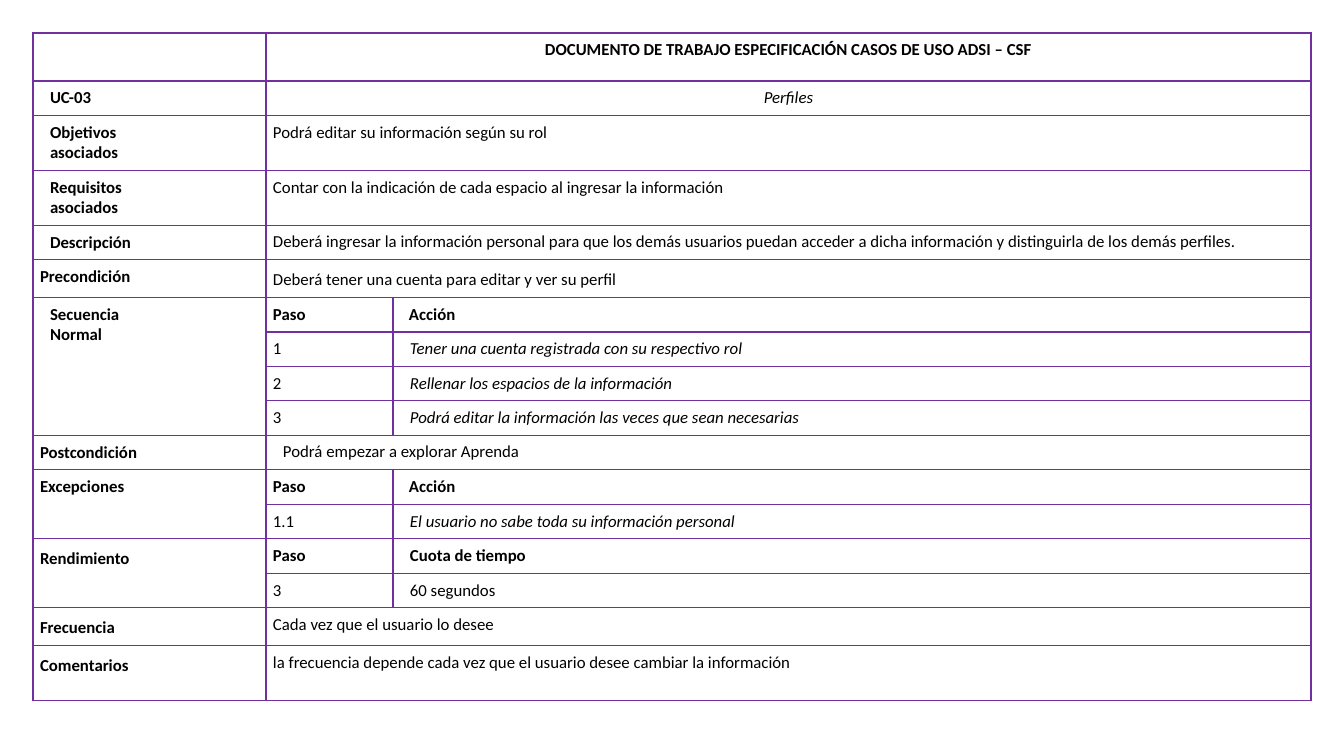
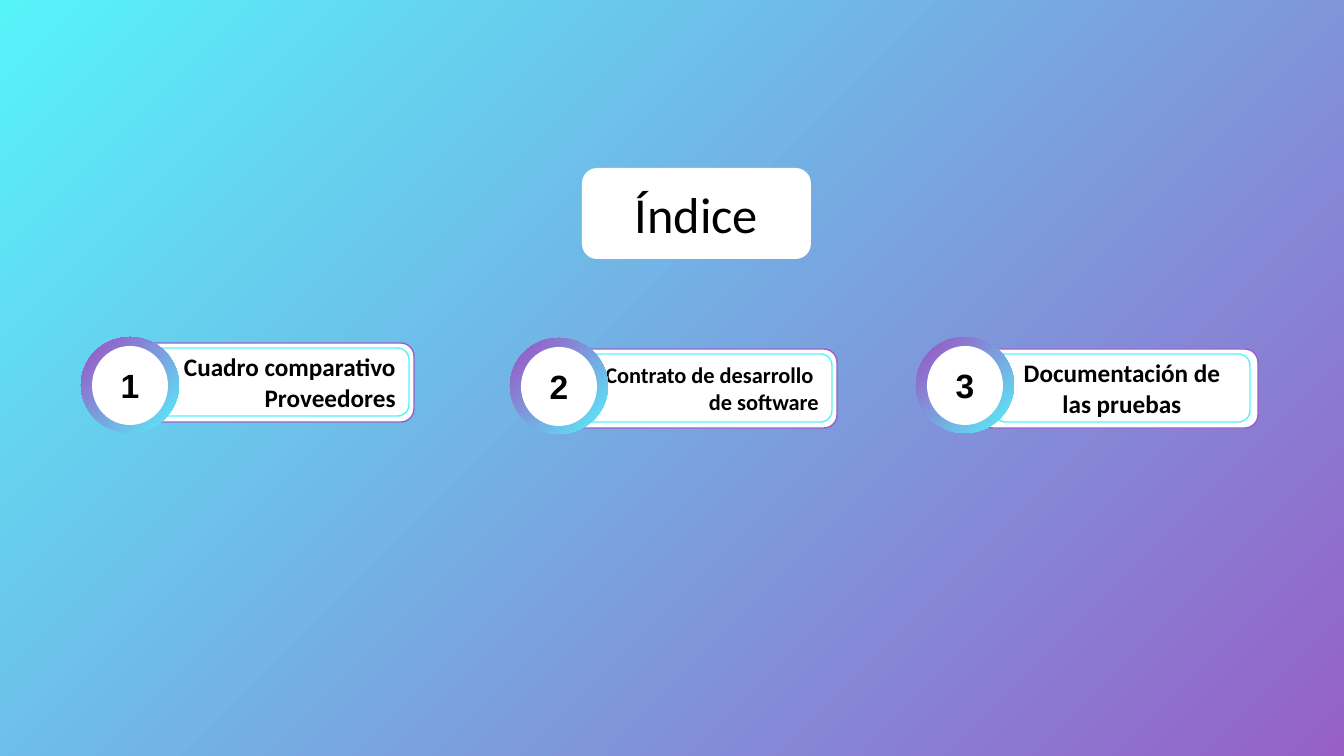
from dataclasses import dataclass
from lxml import etree
from pptx import Presentation
from pptx.dml.color import RGBColor
from pptx.enum.shapes import MSO_SHAPE
from pptx.enum.text import MSO_ANCHOR, PP_ALIGN
from pptx.oxml.ns import qn
from pptx.util import Emu, Pt

SLIDE_W, SLIDE_H = 1344, 756
EMU_PER_PX = 12192000 / SLIDE_W


@dataclass(frozen=True)
class Theme:
    ink: str = "000000"
    white: str = "FFFFFF"
    grid: str = "7030A0"
    violet: str = "9660C8"
    cyan: str = "57F3FB"
    body: str = "Calibri"
    digits: str = "Arial"
    cell_pt: int = 12
    item_pt: int = 18
    small_item_pt: int = 16
    number_pt: int = 24
    title_pt: int = 36
    line_pt: int = 1


THEME = Theme()


@dataclass(frozen=True)
class Text:
    text: str
    bold: bool = False
    italic: bool = False
    indent: int = 0
    spacing: float = 1.0
    align: PP_ALIGN = PP_ALIGN.LEFT


def label(text, indent=0, **kw):
    return Text(text, bold=True, indent=indent, **kw)


def step(number, action, **kw):
    return [Text(number), Text(action, indent=10, **kw)]


def heading(name, indent=9):
    return [label("Paso"), label(name, indent)]


# Each section: label, rows of one wide cell or of step and action, row height
SECTIONS = [
    (None, [[label("DOCUMENTO DE TRABAJO ESPECIFICACIÓN CASOS DE USO ADSI – CSF",
                   align=PP_ALIGN.CENTER)]], 48),
    (label("UC-03", 10), [[Text("Perfiles", italic=True, align=PP_ALIGN.CENTER)]], 34),
    (label("Objetivos\nasociados", 10), [[Text("Podrá editar su información según su rol")]], 55),
    (label("Requisitos\nasociados", 10),
     [[Text("Contar con la indicación de cada espacio al ingresar la información")]], 55),
    (label("Descripción", 10),
     [[Text("Deberá ingresar la información personal para que los demás usuarios puedan "
            "acceder a dicha información y distinguirla de los demás perfiles.",
            spacing=0.95)]], 34),
    (label("Precondición"),
     [[Text("Deberá tener una cuenta para editar y ver su perfil", spacing=1.15)]], 37),
    (label("Secuencia\nNormal", 10),
     [heading("Acción"),
      step("1", "Tener una cuenta registrada con su respectivo rol", italic=True),
      step("2", "Rellenar los espacios de la información", italic=True),
      step("3", "Podrá editar la información las veces que sean necesarias", italic=True)], 34),
    (label("Postcondición"),
     [[Text("Podrá empezar a explorar Aprenda", indent=10, spacing=0.95)]], 34),
    (label("Excepciones"),
     [heading("Acción"),
      step("1.1", "El usuario no sabe toda su información personal", italic=True)], 34),
    (label("Rendimiento", spacing=1.15),
     [heading("Cuota de tiempo", 10), step("3", "60 segundos")], 34),
    (label("Frecuencia", spacing=1.15), [[Text("Cada vez que el usuario lo desee")]], 37),
    (label("Comentarios", spacing=1.15),
     [[Text("la frecuencia depende cada vez que el usuario desee cambiar la información")]], 55),
]

# Card is offset from the ring (dx, dy, width); panel likewise (dx, width)
INDEX_ITEMS = [
    dict(x=81, y=337, number="1", text="Cuadro comparativo\nProveedores",
         card=(42, 6, 291), panel=(64, 264), align=PP_ALIGN.RIGHT, size=THEME.item_pt),
    dict(x=510, y=338, number="2", text="Contrato de desarrollo \vde software",
         card=(44, 11, 283), panel=(52, 270), align=PP_ALIGN.RIGHT, size=THEME.small_item_pt),
    dict(x=916, y=337, number="3", text="Documentación de las pruebas",
         card=(64, 12, 278), panel=(78, 256), align=PP_ALIGN.CENTER, size=THEME.item_pt),
]


def px(n):
    return Emu(round(n * EMU_PER_PX))


def rgb(value):
    return RGBColor.from_string(value)


def write(tf, text, align, indent=0, spacing=None, **font):
    tf.word_wrap = True
    tf.text = text
    for p in tf.paragraphs:
        p.alignment = align
        if spacing:
            p.line_spacing = spacing
        if indent:
            p._p.get_or_add_pPr().set("marL", str(px(indent)))
        for r in p.runs:
            r.font.color.rgb = rgb(THEME.ink)
            for name, value in font.items():
                setattr(r.font, name, value)


def gradient(fill, start, end, end_at=1.0):
    """Run the colours from the lower right to the upper left."""
    fill.gradient()
    fill.gradient_angle = 135
    for stop, color, position in zip(fill.gradient_stops, (start, end), (0, end_at)):
        stop.color.rgb = rgb(color)
        stop.position = position


def add_box(s, kind, box, line=None):
    sp = s.shapes.add_shape(kind, *map(px, box))
    sp.shadow.inherit = False
    sp.fill.solid()
    sp.fill.fore_color.rgb = rgb(THEME.white)
    if line:
        sp.line.color.rgb = rgb(line)
        sp.line.width = Pt(THEME.line_pt)
    else:
        sp.line.fill.background()
    sp.text_frame.vertical_anchor = MSO_ANCHOR.MIDDLE
    return sp


def style_cell(cell):
    for side in ("left", "right", "top", "bottom"):
        setattr(cell, f"margin_{side}", px(7))
    tcPr = cell._tc.get_or_add_tcPr()
    for tag in ("a:lnL", "a:lnR", "a:lnT", "a:lnB"):
        ln = etree.SubElement(tcPr, qn(tag), w=str(Pt(THEME.line_pt)))
        fill = etree.SubElement(ln, qn("a:solidFill"))
        etree.SubElement(fill, qn("a:srgbClr"), val=THEME.grid)
    cell.fill.background()


def fill_cell(cell, t):
    write(cell.text_frame, t.text, t.align, t.indent, t.spacing, name=THEME.body,
          size=Pt(THEME.cell_pt), bold=t.bold, italic=t.italic)


def add_use_case_table(s, x, y, widths, sections):
    heights = [h for _, rows, h in sections for _ in rows]
    frame = s.shapes.add_table(len(heights), len(widths), px(x), px(y),
                               px(sum(widths)), px(sum(heights)))
    table = frame.table
    table.first_row = table.horz_banding = False
    for column, w in zip(table.columns, widths):
        column.width = px(w)
    for row, h in zip(table.rows, heights):
        row.height = px(h)
    for cell in table.iter_cells():
        style_cell(cell)
    top = 0
    for title, rows, _ in sections:
        if len(rows) > 1:
            table.cell(top, 0).merge(table.cell(top + len(rows) - 1, 0))
        if title:
            fill_cell(table.cell(top, 0), title)
        for i, texts in enumerate(rows, top):
            if len(texts) == 1:
                table.cell(i, 1).merge(table.cell(i, 2))
            for j, t in enumerate(texts, 1):
                fill_cell(table.cell(i, j), t)
        top += len(rows)


def add_index_item(s, x, y, number, text, card, panel, align, size):
    dx, dy, w = card
    add_box(s, MSO_SHAPE.ROUNDED_RECTANGLE, (x + dx, y + dy, w, 79), THEME.violet)
    dx, w = panel
    sp = add_box(s, MSO_SHAPE.ROUNDED_RECTANGLE, (x + dx, y + dy + 5, w, 68), THEME.cyan)
    write(sp.text_frame, text, align, name=THEME.body, size=Pt(size), bold=True)
    ring = add_box(s, MSO_SHAPE.FLOWCHART_CONNECTOR, (x, y, 98, 96))
    gradient(ring.fill, THEME.cyan, THEME.violet, 0.88)
    disc = add_box(s, MSO_SHAPE.FLOWCHART_CONNECTOR, (x + 11, y + 9, 76, 79))
    write(disc.text_frame, number, PP_ALIGN.CENTER, name=THEME.digits,
          size=Pt(THEME.number_pt), bold=True)


def add_title(s, text, box):
    sp = add_box(s, MSO_SHAPE.ROUNDED_RECTANGLE, box)
    write(sp.text_frame, text, PP_ALIGN.CENTER, name=THEME.body, size=Pt(THEME.title_pt))


def add_blank_slide(prs):
    return prs.slides.add_slide(prs.slide_layouts[6])


def main():
    prs = Presentation()
    prs.slide_width, prs.slide_height = px(SLIDE_W), px(SLIDE_H)

    s = add_blank_slide(prs)
    add_use_case_table(s, 33, 33, (233, 127, 918), SECTIONS)

    s = add_blank_slide(prs)
    gradient(s.background.fill, THEME.violet, THEME.cyan)
    for item in INDEX_ITEMS:
        add_index_item(s, **item)
    add_title(s, "Índice", (582, 168, 229, 91))

    prs.save("out.pptx")


if __name__ == "__main__":
    main()
